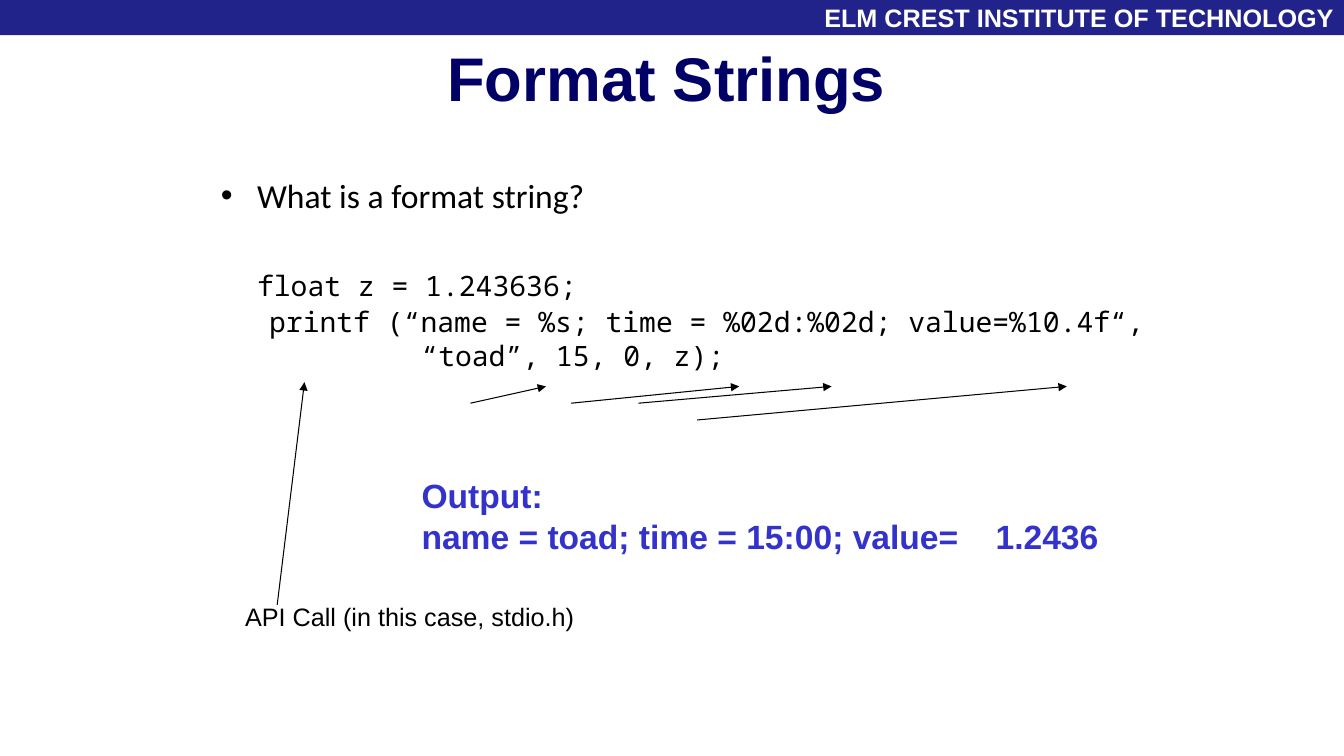
from dataclasses import dataclass

from lxml import etree
from pptx import Presentation
from pptx.dml.color import RGBColor
from pptx.enum.shapes import MSO_CONNECTOR, MSO_SHAPE
from pptx.enum.text import MSO_ANCHOR, PP_ALIGN
from pptx.oxml.ns import qn
from pptx.util import Emu, Inches, Pt

RECT = MSO_SHAPE.RECTANGLE
LINE = MSO_CONNECTOR.STRAIGHT
TOP, MIDDLE = MSO_ANCHOR.TOP, MSO_ANCHOR.MIDDLE
LEFT, CENTER, RIGHT = PP_ALIGN.LEFT, PP_ALIGN.CENTER, PP_ALIGN.RIGHT
SANS, BODY, MONO = "Arial", "Calibri", "Noto Sans Mono"
BLACK, WHITE, NAVY, BAR, BLUE = "000000", "FFFFFF", "000066", "22228B", "3333CC"
COLS, ROWS = 160, 90  # grid over the whole slide


@dataclass
class Box:
    x: float
    y: float
    w: float
    h: float


@dataclass
class Para:
    text: str
    size: float
    font: str = SANS
    color: str = BLACK
    bold: bool = False
    align: PP_ALIGN = LEFT
    before: float = 0
    indent: float = 0
    bullet: bool = False


@dataclass
class Arrow:
    x1: float
    y1: float
    x2: float
    y2: float


deck = Presentation()
deck.slide_width, deck.slide_height = Inches(13.33), Inches(7.5)
slide = deck.slides.add_slide(deck.slide_layouts[5])


def col(n: float) -> Emu:
    return Emu(round(deck.slide_width * n / COLS))


def row(n: float) -> Emu:
    return Emu(round(deck.slide_height * n / ROWS))


def rgb(code: str) -> RGBColor:
    return RGBColor.from_string(code)


def area(box: Box) -> tuple:
    return col(box.x), row(box.y), col(box.w), row(box.h)


def write(shape, paras: list[Para], wrap: bool = True, anchor: MSO_ANCHOR = TOP) -> None:
    frame = shape.text_frame
    frame.word_wrap, frame.vertical_anchor = wrap, anchor
    for i, item in enumerate(paras):
        para = frame.add_paragraph() if i else frame.paragraphs[0]
        para.text, para.alignment = item.text, item.align
        para.space_before = Pt(item.before)
        font = para.font
        font.size, font.name, font.bold = Pt(item.size), item.font, item.bold
        font.color.rgb = rgb(item.color)
        props = para._p.get_or_add_pPr()
        props.set("marL", str(Inches(item.indent)))
        props.set("indent", str(-Inches(item.indent) if item.bullet else 0))
        if item.bullet:
            face = etree.Element(qn("a:buFont"), typeface=SANS)
            mark = etree.Element(qn("a:buChar"), char="•")
            props.find(qn("a:defRPr")).addprevious(face)
            face.addnext(mark)


def label(box: Box, paras: list[Para], wrap: bool = True) -> None:
    write(slide.shapes.add_textbox(*area(box)), paras, wrap)


def draw(arrow: Arrow) -> None:
    link = slide.shapes.add_connector(
        LINE, col(arrow.x1), row(arrow.y1), col(arrow.x2), row(arrow.y2))
    link.line.color.rgb = rgb(BLACK)
    link.line.width = Pt(0.75)
    etree.SubElement(link.line._get_or_add_ln(), qn("a:tailEnd"), type="triangle")
    etree.SubElement(link._element.spPr, qn("a:effectLst"))


# Header bar
bar = slide.shapes.add_shape(RECT, *area(Box(0, 0, COLS, 4.2)))
bar.shadow.inherit = False
bar.fill.solid()
bar.fill.fore_color.rgb = rgb(BAR)
bar.line.fill.background()
write(bar, [Para("ELM CREST INSTITUTE OF TECHNOLOGY", 18, color=WHITE,
                 bold=True, align=RIGHT)], anchor=MIDDLE)

# Title
title = slide.shapes.title
title.left, title.top, title.width, title.height = area(Box(6.7, 3.6, 145.3, 15))
write(title, [Para("Format Strings", 44, color=NAVY, bold=True, align=CENTER)])
title.text_frame.margin_top = Inches(0.1)

# Question and code
label(Box(25.1, 20.2, 114.8, 63.8), [
    Para("What is a format string?", 24, BODY, before=1, indent=0.36, bullet=True),
    Para("float z = 1.243636;", 20, MONO, before=38, indent=0.36),
    Para("printf (“name = %s; time = %02d:%02d; value=%10.4f“,", 20, MONO,
         before=2, indent=0.48),
    Para("“toad”, 15, 0, z);", 20, MONO, before=0.5, indent=1.99),
])

# Call note and printed result
label(Box(28, 71, 42, 4.8), [Para("API Call (in this case, stdio.h)", 18)], wrap=False)
label(Box(49, 56, 86, 10.9), [
    Para(text, 24, color=BLUE, bold=True)
    for text in ("Output:", "name = toad; time = 15:00; value=    1.2436")
])

# Arrows from the note and from each argument to its place
for arrow in (
    Arrow(33, 72, 36.25, 45.5),
    Arrow(56, 48, 65, 46),
    Arrow(68, 48, 88, 46),
    Arrow(76, 48, 99, 46),
    Arrow(83, 50, 127, 46),
):
    draw(arrow)

deck.save("out.pptx")
